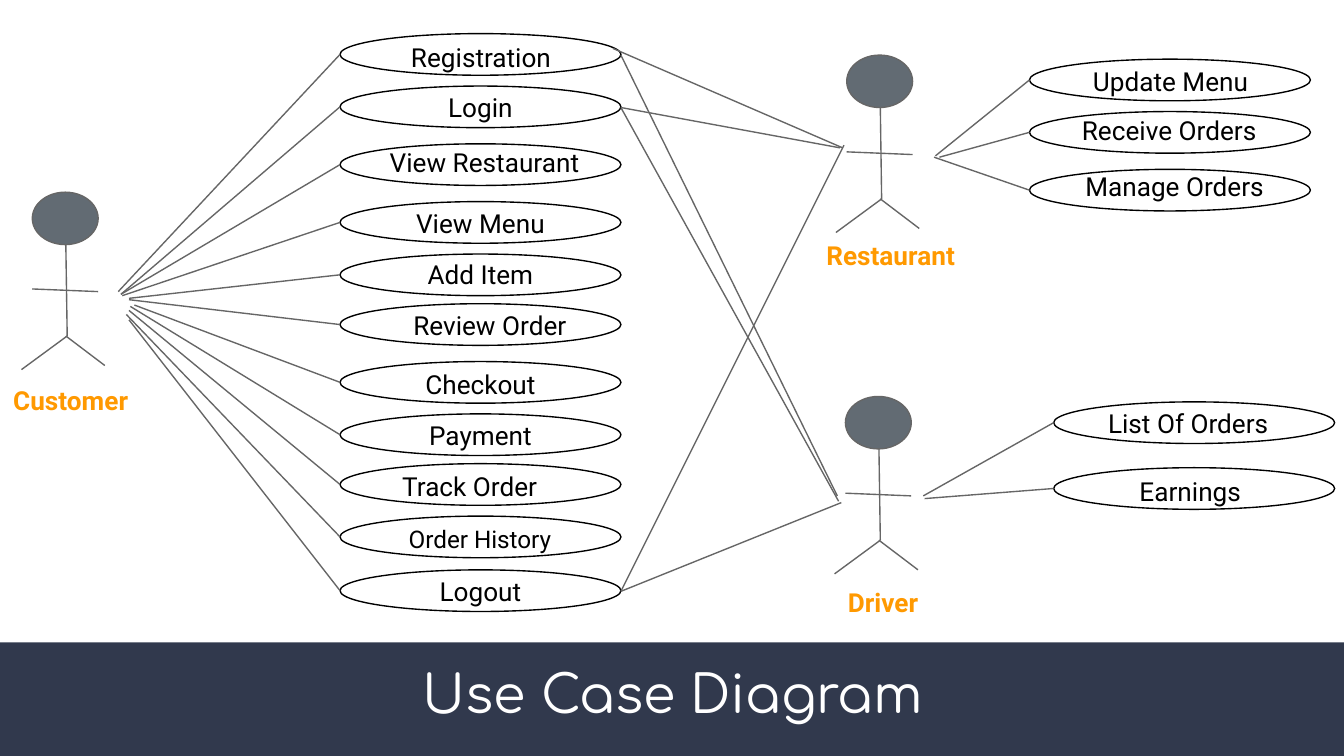
from lxml import etree
from pptx import Presentation
from pptx.dml.color import RGBColor
from pptx.enum.shapes import MSO_CONNECTOR, MSO_SHAPE
from pptx.enum.text import MSO_ANCHOR, MSO_AUTO_SIZE, PP_ALIGN
from pptx.oxml.ns import qn
from pptx.util import Inches, Pt

STRAIGHT = MSO_CONNECTOR.STRAIGHT
OVAL, RECTANGLE = MSO_SHAPE.OVAL, MSO_SHAPE.RECTANGLE
TOP, MIDDLE = MSO_ANCHOR.TOP, MSO_ANCHOR.MIDDLE
LEFT, CENTER = PP_ALIGN.LEFT, PP_ALIGN.CENTER
NO_AUTOFIT = MSO_AUTO_SIZE.NONE

NAVY, SLATE, GRAY = "31394D", "626B73", "666666"
BLACK, WHITE, ORANGE = "000000", "FFFFFF", "FF9900"
OVAL_WIDTH, OVAL_HEIGHT = 2.09, 0.31
CUSTOMER_LEFT, RESTAURANT_LEFT, DRIVER_LEFT = 2.53, 7.66, 7.84

# Name, oval top, label box (left, top, width) or None for text in the oval,
# end of the line at the actor
CUSTOMER_CASES = [
    ("Registration", 0.25, (2.63, 0.21, 1.9), (0.88, 2.17)),
    ("Login", 0.64, (2.92, 0.58, 1.31), (0.9, 2.19)),
    ("View Restaurant", 1.07, (2.75, 0.99, 1.71), (0.9, 2.19)),
    ("View Menu", 1.5, (2.92, 1.44, 1.31), (0.91, 2.2)),
    ("Add Item", 1.89, (2.72, 1.82, 1.71), (0.96, 2.22)),
    ("Review Order", 2.26, (2.79, 2.2, 1.71), (0.96, 2.23)),
    ("Checkout", 2.69, (2.72, 2.64, 1.71), (1, 2.27)),
    ("Payment", 3.08, (2.72, 3.02, 1.71), (0.97, 2.28)),
    ("Track Order", 3.45, (2.59, 3.4, 1.81), (0.96, 2.31)),
    ("Order History", 3.84, (2.38, 3.8, 2.38), (0.94, 2.34)),
    ("Logout", 4.24, (2.92, 4.18, 1.31), (0.96, 2.38)),
]
RESTAURANT_CASES = [
    ("Update Menu", 0.44, (7.76, 0.39, 1.9), (6.96, 1.16)),
    ("Receive Orders", 0.83, (7.75, 0.75, 1.9), (6.99, 1.17)),
    ("Manage Orders", 1.26, (7.79, 1.17, 1.9), (6.95, 1.17)),
]
DRIVER_CASES = [
    ("List Of Orders", 2.99, None, (6.87, 3.69)),
    ("Earnings", 3.48, (8.38, 3.44, 1.38), (6.88, 3.71)),
]
# Right end of a customer use case, end of the line at the other actor
SHARED_LINKS = [
    ((4.56, 0.36), (6.27, 1.1)),
    ((4.62, 0.8), (6.25, 1.1)),
    ((4.62, 4.4), (6.28, 1.08)),
    ((4.62, 0.41), (6.23, 3.69)),
    ((4.62, 0.8), (6.24, 3.73)),
    ((4.62, 4.4), (6.26, 3.74)),
]
# Name, head left and top, name box (left, top, width)
ACTORS = [
    ("Customer", 0.24, 1.43, (0, 2.76, 1.17)),
    ("Restaurant", 6.3, 0.41, (6.05, 1.68, 1.38)),
    ("Driver", 6.29, 2.95, (6.21, 4.26, 1.05)),
]
# Body, right leg, left leg and arms, measured from the head's corner
LIMBS = [
    ((0.25, 0.39), (0.26, 1.07)),
    ((0.25, 1.07), (0.54, 1.29)),
    ((-0.08, 1.32), (0.26, 1.07)),
    ((0, 0.72), (0.49, 0.74)),
]


def color(value):
    return RGBColor.from_string(value)


def write_text(shape, text, size=14, font="Roboto", fill=BLACK, bold=False,
               align=CENTER, anchor=TOP):
    frame = shape.text_frame
    frame.word_wrap = True
    frame.auto_size = NO_AUTOFIT
    frame.vertical_anchor = anchor
    frame.margin_left = frame.margin_right = Inches(0.1)
    frame.margin_top = frame.margin_bottom = Inches(0.1)
    paragraph = frame.paragraphs[0]
    paragraph.alignment = align
    run = paragraph.add_run()
    run.text = text
    run.font.name = font
    run.font.size = Pt(size)
    run.font.bold = bold
    run.font.color.rgb = color(fill)


def add_label(slide, text, box, height=0.44, **text_format):
    left, top, width = box
    label = slide.shapes.add_textbox(
        Inches(left), Inches(top), Inches(width), Inches(height))
    write_text(label, text, **text_format)


def add_block(slide, kind, left, top, width, height, fill=None, line=None):
    shape = slide.shapes.add_shape(
        kind, Inches(left), Inches(top), Inches(width), Inches(height))
    shape.shadow.inherit = False
    if fill:
        shape.fill.solid()
        shape.fill.fore_color.rgb = color(fill)
    else:
        shape.fill.background()
    if line:
        shape.line.color.rgb = color(line)
        shape.line.width = Pt(0.75)
    else:
        shape.line.fill.background()
    return shape


def add_line(slide, start, end):
    points = [Inches(value) for value in (*start, *end)]
    line = slide.shapes.add_connector(STRAIGHT, *points)
    line.line.color.rgb = color(GRAY)
    line.line.width = Pt(0.75)
    etree.SubElement(line._element.spPr, qn("a:effectLst"))


def add_actor(slide, name, left, top, name_box):
    add_block(slide, OVAL, left, top, 0.49, 0.39, fill=SLATE, line=GRAY)
    for (x1, y1), (x2, y2) in LIMBS:
        add_line(slide, (left + x1, top + y1), (left + x2, top + y2))
    add_label(slide, name, name_box, height=0.39, fill=ORANGE, bold=True,
              align=LEFT)


def add_use_cases(slide, left, cases, align=CENTER):
    """Draw each oval with its label and the line to its actor."""
    for name, top, label_box, actor_point in cases:
        oval = add_block(slide, OVAL, left, top, OVAL_WIDTH, OVAL_HEIGHT,
                         line=BLACK)
        if label_box:
            size = 13 if name == "Order History" else 14
            add_label(slide, name, label_box, size=size, align=align)
        else:
            write_text(oval, name, align=align, anchor=MIDDLE)
        add_line(slide, actor_point, (left, top + OVAL_HEIGHT / 2))


def add_title(slide, text):
    band = add_block(slide, RECTANGLE, 0, 4.78, 10, 0.85, fill=NAVY)
    slide.shapes._spTree.insert(2, band._element)  # behind the title
    title = slide.shapes.title
    title.left, title.top = Inches(0.64), Inches(4.9)
    title.width, title.height = Inches(8.73), Inches(0.5)
    write_text(title, text, size=28, font="Comfortaa", fill=WHITE,
               anchor=MIDDLE)


def main():
    presentation = Presentation()
    presentation.slide_width = Inches(10)
    presentation.slide_height = Inches(10) * 9 // 16
    slide = presentation.slides.add_slide(presentation.slide_layouts[5])

    add_title(slide, "Use Case Diagram")
    for actor in ACTORS:
        add_actor(slide, *actor)
    add_use_cases(slide, CUSTOMER_LEFT, CUSTOMER_CASES)
    add_use_cases(slide, RESTAURANT_LEFT, RESTAURANT_CASES)
    add_use_cases(slide, DRIVER_LEFT, DRIVER_CASES, align=LEFT)
    for case_point, actor_point in SHARED_LINKS:
        add_line(slide, actor_point, case_point)

    presentation.save("out.pptx")


if __name__ == "__main__":
    main()
